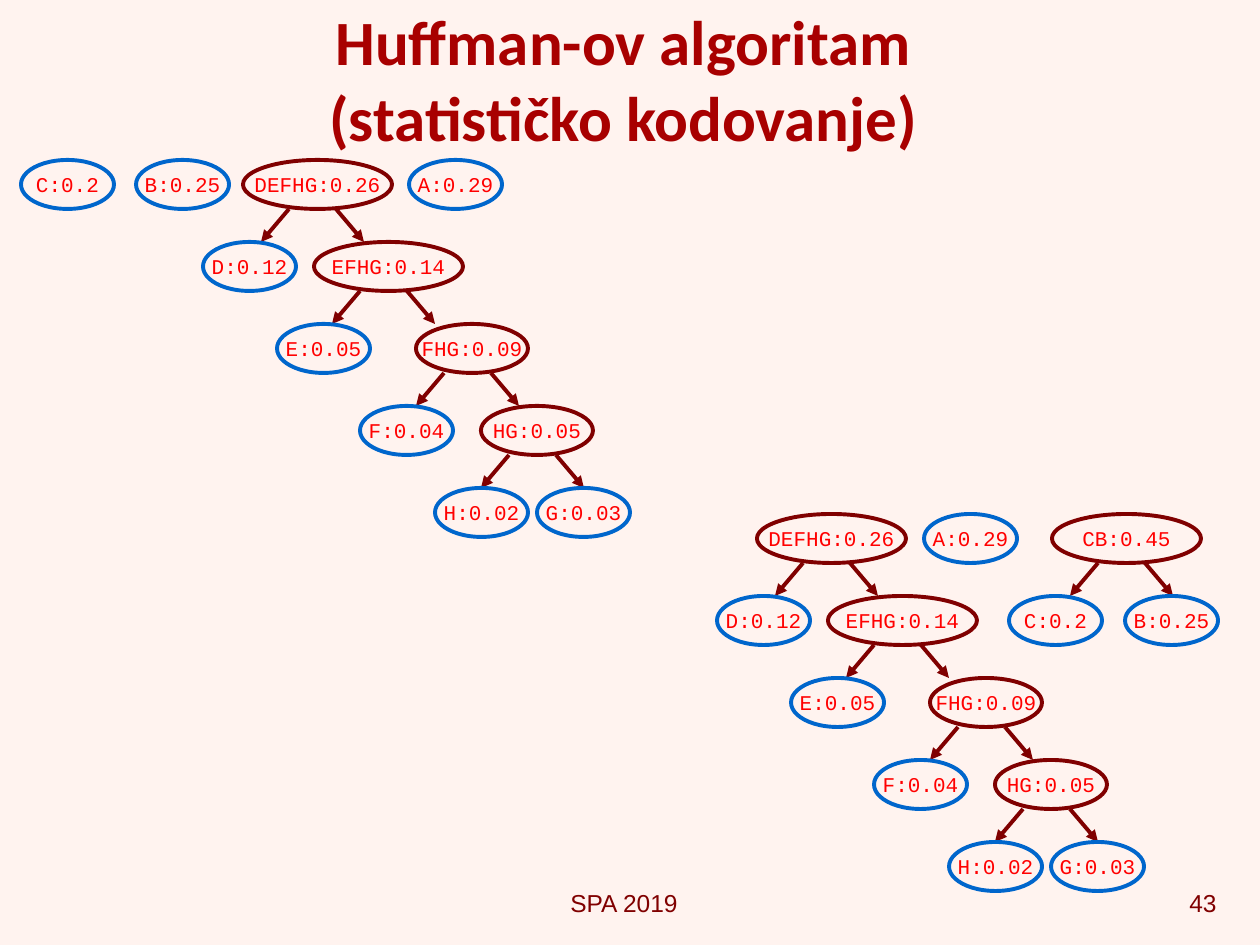
from lxml.etree import SubElement
from pptx import Presentation
from pptx.dml.color import RGBColor
from pptx.enum.shapes import MSO_CONNECTOR, MSO_SHAPE
from pptx.enum.text import MSO_ANCHOR, PP_ALIGN
from pptx.oxml.ns import qn
from pptx.util import Pt

SCALE = 914400 / 126
LEAF, MID, WIDE = 93, 112, 149
HIGH, STEP = 49, 82
BLUE, DARK, RED = "0066CC", "800000", "FF0000"

# Node: label, left edge relative to the root, width, children
HG = ("HG:0.05", 238, MID, [("H:0.02", 192, LEAF, []),
                            ("G:0.03", 294, LEAF, [])])
FHG = ("FHG:0.09", 173, MID, [("F:0.04", 117, LEAF, []), HG])
EFHG = ("EFHG:0.14", 71, WIDE, [("E:0.05", 34, LEAF, []), FHG])
DEFHG = ("DEFHG:0.26", 0, WIDE, [("D:0.12", -40, LEAF, []), EFHG])
CB = ("CB:0.45", 0, WIDE, [("C:0.2", -43, LEAF, []),
                           ("B:0.25", 73, LEAF, [])])


def leaf(text):
    return text, 0, LEAF, []


FORESTS = [
    (160, [(21, leaf("C:0.2")), (136, leaf("B:0.25")),
           (243, DEFHG), (409, leaf("A:0.29"))]),
    (514, [(757, DEFHG), (924, leaf("A:0.29")), (1052, CB)]),
]


def px(*nums):
    return [round(n * SCALE) for n in nums]


def color(code):
    return RGBColor.from_string(code)


def add_run(para, text, font, size, code, bold=False):
    run = para.add_run()
    run.text = text
    run.font.name = font
    run.font.size = Pt(size)
    run.font.bold = bold
    run.font.color.rgb = color(code)


def add_title(slide, box, lines):
    title = slide.shapes.title
    title.left, title.top, title.width, title.height = px(*box)
    frame = title.text_frame
    frame.word_wrap = True
    frame.vertical_anchor = MSO_ANCHOR.MIDDLE
    para = frame.paragraphs[0]
    para.alignment = PP_ALIGN.CENTER
    for i, line in enumerate(lines):
        if i:
            para.add_line_break()
        add_run(para, line, "Calibri", 36, "A80000", True)


def add_note(slide, box, text, align):
    frame = slide.shapes.add_textbox(*px(*box)).text_frame
    frame.word_wrap = True
    para = frame.paragraphs[0]
    para.alignment = align
    add_run(para, text, "Arial", 14, DARK)


def add_oval(slide, box, text, code):
    oval = slide.shapes.add_shape(MSO_SHAPE.OVAL, *px(*box))
    oval.shadow.inherit = False
    oval.fill.background()
    oval.line.color.rgb = color(code)
    oval.line.width = Pt(2.25)
    frame = oval.text_frame
    frame.word_wrap = False
    frame.vertical_anchor = MSO_ANCHOR.MIDDLE
    para = frame.paragraphs[0]
    para.alignment = PP_ALIGN.CENTER
    add_run(para, text, "Courier New", 12, RED)


def add_arrow(slide, *ends):
    arrow = slide.shapes.add_connector(MSO_CONNECTOR.STRAIGHT, *px(*ends))
    arrow.line.color.rgb = color(DARK)
    arrow.line.width = Pt(2.25)
    SubElement(arrow.line._get_or_add_ln(), qn("a:tailEnd"), type="triangle")
    SubElement(arrow._element.spPr, qn("a:effectLst"))


def add_tree(slide, left, top, node):
    text, shift, width, kids = node
    x = left + shift
    add_oval(slide, (x, top, width, HIGH), text, DARK if kids else BLUE)
    mid = x + width // 2
    for kid, start, lean in zip(kids, (mid - 28, mid + 19), (-28, 28)):
        add_arrow(slide, start, top + HIGH, start + lean, top + STEP)
        add_tree(slide, left, top + STEP, kid)


def main():
    deck = Presentation()
    deck.slide_width, deck.slide_height = px(1260, 945)
    slide = deck.slides.add_slide(deck.slide_layouts[5])
    fill = slide.background.fill
    fill.solid()
    fill.fore_color.rgb = color("FFF3EF")

    add_title(slide, (32, 10, 1197, 136),
              ["Huffman-ov algoritam ", "(statističko kodovanje) "])
    for top, trees in FORESTS:
        for left, node in trees:
            add_tree(slide, left, top, node)
    add_note(slide, (471, 882, 306, 42), "SPA 2019", PP_ALIGN.CENTER)
    add_note(slide, (977, 882, 252, 42), "43", PP_ALIGN.RIGHT)
    deck.save("out.pptx")


if __name__ == "__main__":
    main()
